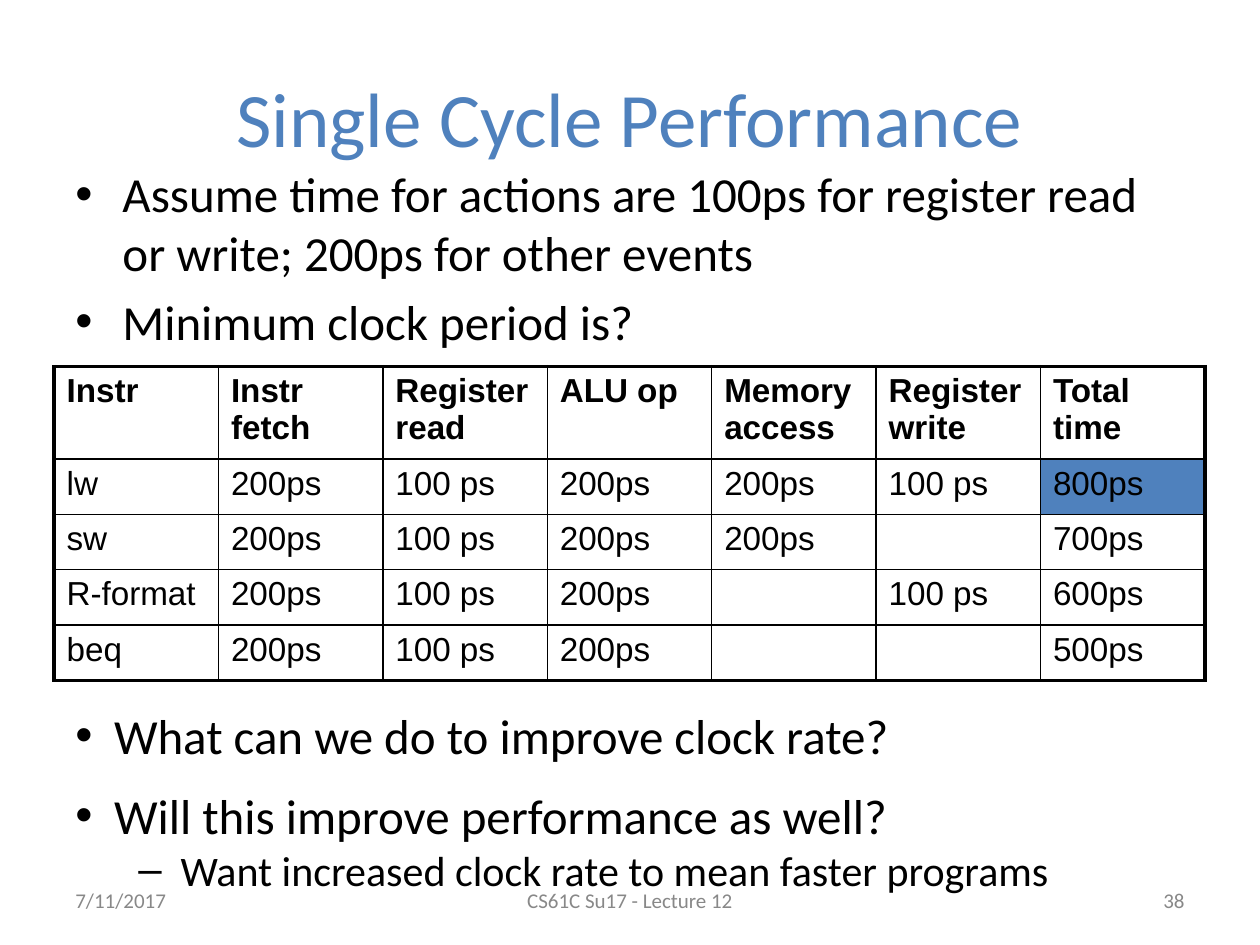
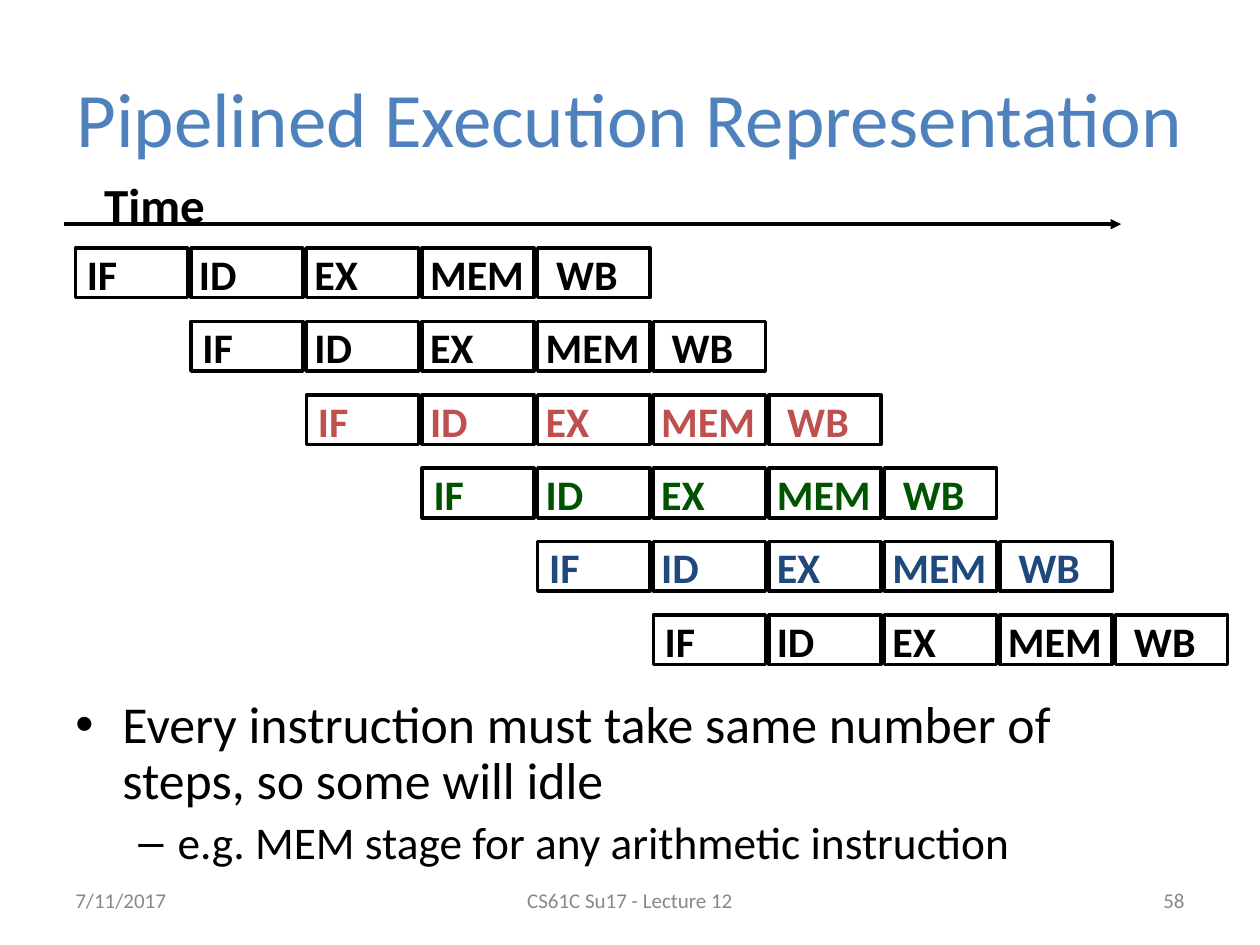
from dataclasses import dataclass
from typing import Any, Optional

import lxml.etree
import pptx
import pptx.dml.color
import pptx.enum.shapes
import pptx.enum.text
import pptx.oxml.ns
import pptx.util

Cm = pptx.util.Cm
Pt = pptx.util.Pt
qn = pptx.oxml.ns.qn
ALIGN = pptx.enum.text.PP_ALIGN
MIDDLE = pptx.enum.text.MSO_ANCHOR.MIDDLE

COLORS = {
    "accent": "4F81BD",
    "black": "000000",
    "footer": "888888",
    "red": "C0504D",
    "green": "005400",
    "navy": "1F497D",
}
BODY_FONT = "Calibri"
TABLE_FONT = "Arial"

DATE = "7/11/2017"
COURSE = "CS61C Su17 - Lecture 12"

HEADERS = ["Instr", "Instr fetch", "Register read", "ALU op",
           "Memory access", "Register write", "Total time"]
TIMINGS = [
    ["lw", "200ps", "100 ps", "200ps", "200ps", "100 ps", "800ps"],
    ["sw", "200ps", "100 ps", "200ps", "200ps", "", "700ps"],
    ["R-format", "200ps", "100 ps", "200ps", "", "100 ps", "600ps"],
    ["beq", "200ps", "100 ps", "200ps", "", "", "500ps"],
]
SLOWEST = "800ps"


@dataclass
class Box:
    """A place on the slide, in centimetres."""
    left: float
    top: float
    width: float
    height: float


@dataclass
class Bullet:
    """A list item; text_at and hang are in centimetres."""
    text: str
    size: float
    text_at: float = 0.95
    hang: float = 0.95
    char: str = "•"
    before: float = 0
    spacing: Optional[float] = None


@dataclass
class Stage:
    """A pipeline stage; shift moves its label from the cell's left edge."""
    label: str
    shift: float
    width: float


@dataclass
class Footer:
    left: float
    width: float
    align: Any


TITLE_BOX = Box(1.27, 0.76, 22.86, 3.18)
FOOTER_TOP, FOOTER_HEIGHT = 17.65, 1.01
FOOTERS = [
    Footer(1.27, 5.93, ALIGN.LEFT),
    Footer(8.68, 8.04, ALIGN.CENTER),
    Footer(18.2, 5.93, ALIGN.RIGHT),
]

STAGES = [
    Stage("IF", -0.02, 1.12),
    Stage("ID", -0.09, 1.27),
    Stage("EX", -0.09, 1.4),
    Stage("MEM", -0.09, 2.41),
    Stage("WB", 0.12, 1.91),
]
INSTRUCTION_COLORS = ["black", "black", "red", "green", "navy", "black"]
FIRST_CELL = Box(1.52, 5.0, 2.26, 1.0)
STEP_X, STEP_Y = 2.33, 1.48
LABEL_RISE, LABEL_HEIGHT = 0.12, 1.27


def rgb(name: str) -> pptx.dml.color.RGBColor:
    return pptx.dml.color.RGBColor.from_string(COLORS[name])


def place(box: Box) -> list:
    return [Cm(v) for v in (box.left, box.top, box.width, box.height)]


def add_bullet(p: Any, item: Bullet) -> None:
    pPr = p._p.get_or_add_pPr()
    pPr.set("marL", str(Cm(item.text_at)))
    pPr.set("indent", str(-Cm(item.hang)))
    color = lxml.etree.SubElement(pPr, qn("a:buClr"))
    lxml.etree.SubElement(color, qn("a:srgbClr"), val=COLORS["black"])
    lxml.etree.SubElement(pPr, qn("a:buFont"), typeface="Arial")
    lxml.etree.SubElement(pPr, qn("a:buChar"), char=item.char)


def add_text(tf: Any, text: str, *, size: float, font: str = BODY_FONT,
             color: str = "black", bold: bool = False, align: Any = ALIGN.LEFT,
             bullet: Optional[Bullet] = None) -> None:
    """Add a paragraph, using the frame's first one while it is empty."""
    p = tf.add_paragraph() if tf.text else tf.paragraphs[0]
    if bullet:
        add_bullet(p, bullet)
        if bullet.before:
            p.space_before = Pt(bullet.before)
        if bullet.spacing:
            p.line_spacing = bullet.spacing
    p.alignment = align
    r = p.add_run()
    r.text = text
    r.font.name = font
    r.font.size = Pt(size)
    r.font.bold = bold
    r.font.color.rgb = rgb(color)


def add_frame(shapes: Any, box: Box, wrap: bool = True, anchor: Any = None) -> Any:
    tf = shapes.add_textbox(*place(box)).text_frame
    tf.word_wrap = wrap
    if anchor is not None:
        tf.vertical_anchor = anchor
    return tf


def add_bullets(shapes: Any, box: Box, items: list[Bullet]) -> None:
    tf = add_frame(shapes, box)
    for item in items:
        add_text(tf, item.text, size=item.size, bullet=item)


def add_slide(prs: Any, title: str, number: int) -> Any:
    """Add a slide with the shared title and footer line."""
    slide = prs.slides.add_slide(prs.slide_layouts[6])
    tf = add_frame(slide.shapes, TITLE_BOX, anchor=MIDDLE)
    add_text(tf, title, size=44, color="accent", align=ALIGN.CENTER)
    for footer, text in zip(FOOTERS, (DATE, COURSE, str(number))):
        box = Box(footer.left, FOOTER_TOP, footer.width, FOOTER_HEIGHT)
        tf = add_frame(slide.shapes, box, anchor=MIDDLE)
        add_text(tf, text, size=12, color="footer", align=footer.align)
    return slide


def set_borders(cell: Any, widths: dict[str, float]) -> None:
    tcPr = cell._tc.get_or_add_tcPr()
    for side, width in widths.items():
        ln = lxml.etree.SubElement(tcPr, qn(f"a:ln{side}"), w=str(Pt(width)))
        fill = lxml.etree.SubElement(ln, qn("a:solidFill"))
        lxml.etree.SubElement(fill, qn("a:srgbClr"), val=COLORS["black"])


def add_timing_table(shapes: Any, box: Box) -> None:
    rows = [HEADERS] + TIMINGS
    last_row, last_col = len(rows) - 1, len(HEADERS) - 1
    table = shapes.add_table(len(rows), len(HEADERS), *place(box)).table
    table.first_row = table.horz_banding = False
    header_height = 1.75
    for i, row in enumerate(table.rows):
        row.height = Cm((box.height - header_height) / last_row if i else header_height)
    for i, values in enumerate(rows):
        for j, text in enumerate(values):
            cell = table.cell(i, j)
            set_borders(cell, {
                "L": 2.25 if j == 0 else 1,
                "R": 2.25 if j == last_col else 1,
                "T": {0: 2.25, 1: 1.5}.get(i, 1),
                "B": {0: 1.5, last_row: 2.25}.get(i, 1),
            })
            if text == SLOWEST:
                cell.fill.solid()
                cell.fill.fore_color.rgb = rgb("accent")
            else:
                cell.fill.background()
            if text:
                add_text(cell.text_frame, text, size=19, font=TABLE_FONT, bold=i == 0)


def add_time_axis(shapes: Any) -> None:
    y = Cm(4.52)
    axis = shapes.add_connector(pptx.enum.shapes.MSO_CONNECTOR.STRAIGHT,
                                Cm(1.3), y, Cm(22.6), y)
    axis.line.color.rgb = rgb("black")
    axis.line.width = Pt(2)
    lxml.etree.SubElement(axis.line._get_or_add_ln(), qn("a:tailEnd"), type="triangle")
    lxml.etree.SubElement(axis._element.spPr, qn("a:effectLst"))
    tf = add_frame(shapes, Box(1.85, 3.4, 2.82, 1.42))
    add_text(tf, "Time", size=28, bold=True)


def add_instruction(shapes: Any, row: int, color: str) -> None:
    """Draw one instruction's stages, one step later than the row above."""
    top = FIRST_CELL.top + row * STEP_Y
    for i, stage in enumerate(STAGES):
        left = FIRST_CELL.left + (row + i) * STEP_X
        cell = Box(left, top, FIRST_CELL.width, FIRST_CELL.height)
        sp = shapes.add_shape(pptx.enum.shapes.MSO_SHAPE.RECTANGLE, *place(cell))
        sp.shadow.inherit = False
        sp.fill.background()
        sp.line.color.rgb = rgb("black")
        sp.line.width = Pt(2)
        label = Box(left + stage.shift, top - LABEL_RISE, stage.width, LABEL_HEIGHT)
        tf = add_frame(shapes, label, wrap=False)
        add_text(tf, stage.label, size=24, bold=True, color=color)


def build_performance(prs: Any) -> None:
    shapes = add_slide(prs, "Single Cycle Performance", 38).shapes
    add_bullets(shapes, Box(1.27, 3.18, 22.86, 4.95), [
        Bullet("Assume time for actions are 100ps for register read or write; "
               "200ps for other events", 28),
        Bullet("Minimum clock period is?", 28, before=5.6),
    ])
    add_timing_table(shapes, Box(1.09, 7.39, 23.2, 6.21))
    add_bullets(shapes, Box(1.27, 14.1, 22.86, 4.06), [
        Bullet("What can we do to improve clock rate?", 28, 0.78, 0.78),
        Bullet("Will this improve performance as well?", 28, 0.78, 0.78, before=12),
        Bullet("Want increased clock rate to mean faster programs", 24, 2.12, 0.85, "–"),
    ])


def build_pipeline(prs: Any) -> None:
    shapes = add_slide(prs, "Pipelined Execution Representation", 58).shapes
    add_bullets(shapes, Box(1.27, 13.97, 22.86, 3.86), [
        Bullet("Every instruction must take same number of steps, so some will idle",
               29.6, spacing=0.9),
        Bullet("e.g. MEM stage for any arithmetic instruction", 25.9, 2.06, 0.79, "–",
               before=5.2, spacing=0.9),
    ])
    stages = shapes.add_group_shape().shapes
    for row, color in enumerate(INSTRUCTION_COLORS):
        add_instruction(stages, row, color)
    add_time_axis(shapes.add_group_shape().shapes)


def main() -> None:
    prs = pptx.Presentation()
    prs.slide_width, prs.slide_height = Cm(25.4), Cm(19.05)
    build_performance(prs)
    build_pipeline(prs)
    prs.save("out.pptx")


if __name__ == "__main__":
    main()
